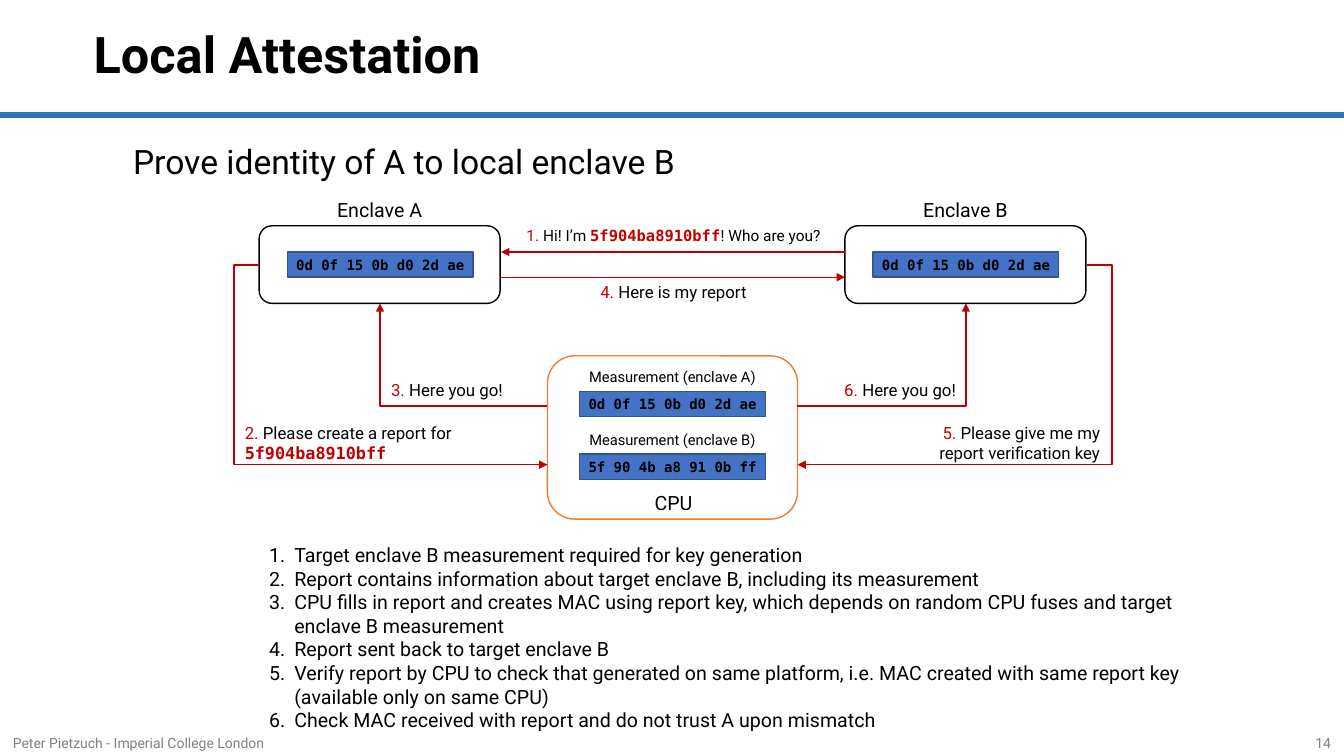
from lxml import etree
from pptx import Presentation
from pptx.dml.color import RGBColor
from pptx.enum.shapes import MSO_CONNECTOR as Link, MSO_SHAPE as Shape
from pptx.enum.text import MSO_ANCHOR as Anchor, PP_ALIGN as Align
from pptx.oxml.ns import qn
from pptx.util import Inches, Pt

BLACK, WHITE, RED, GREY = "000000", "FFFFFF", "C00000", "808080"
RULE, ORANGE, BLUE, NAVY = "2E75B6", "ED7D31", "4472C4", "325491"
SANS, MONO = "Roboto", "DejaVu Sans Mono"
HASH = "5f904ba8910bff"
MEASUREMENT_A, MEASUREMENT_B = "0d 0f 15 0b d0 2d ae", "5f 90 4b a8 91 0b ff"


def color(value):
    return RGBColor.from_string(value)


class Diagram:
    def __init__(self, page):
        self.page = page

    def style(self, font, size, shade=BLACK, face=SANS, bold=False):
        font.size, font.name, font.bold = Pt(size), face, bold
        font.color.rgb = color(shade)

    def text(self, left, top, width, height, content, size, align=Align.LEFT,
             anchor=Anchor.TOP, shade=BLACK, bold=False, spacing=1.0, indent=0.1):
        box = self.page.shapes.add_textbox(*map(Inches, (left, top, width, height)))
        frame = box.text_frame
        frame.word_wrap, frame.vertical_anchor = True, anchor
        frame.margin_left = Inches(indent)
        para = frame.paragraphs[0]
        para.text, para.alignment, para.line_spacing = content, align, spacing
        self.style(para.font, size, shade, bold=bold)
        return frame

    def message(self, left, top, width, height, number, words, size=12, align=Align.LEFT):
        """Numbered protocol step; any enclave hash in the words is highlighted."""
        para = self.text(left, top, width, height, "", size, align).paragraphs[0]
        before, found, after = words.partition(HASH)
        spans = ((f"{number}.", RED, SANS), (f" {before}", BLACK, SANS),
                 (found, RED, MONO), (after, BLACK, SANS))
        for content, shade, face in spans:
            if content:
                span = para.add_run()
                span.text = content
                self.style(span.font, size, shade, face, face == MONO)

    def numbered_list(self, left, top, width, height, items, size):
        frame = self.text(left, top, width, height, items[0], size)
        for item in items[1:]:
            frame.add_paragraph().text = item
        for para in frame.paragraphs:
            properties = para._p.get_or_add_pPr()
            properties.set("marL", str(Inches(0.25)))
            properties.set("indent", str(Inches(-0.25)))
            etree.SubElement(properties, qn("a:buFont"), typeface="+mj-lt")
            etree.SubElement(properties, qn("a:buAutoNum"), type="arabicPeriod")
            self.style(para.font, size)

    def panel(self, kind, left, top, width, height, fill, line):
        box = self.page.shapes.add_shape(kind, *map(Inches, (left, top, width, height)))
        box.shadow.inherit = False
        box.fill.solid()
        box.fill.fore_color.rgb = color(fill)
        box.line.color.rgb, box.line.width = color(line), Pt(1)
        return box

    def measurement(self, left, top, value):
        frame = self.panel(Shape.RECTANGLE, left, top, 1.84, 0.25, BLUE, NAVY).text_frame
        frame.margin_left = frame.margin_right = 0
        frame.word_wrap, frame.vertical_anchor = True, Anchor.MIDDLE
        para = frame.paragraphs[0]
        para.text, para.alignment = value, Align.CENTER
        self.style(para.font, 10, BLACK, MONO, True)

    def line(self, start, end, shade=RED, width=1, kind=Link.STRAIGHT):
        link = self.page.shapes.add_connector(kind, *map(Inches, (*start, *end)))
        link.line.color.rgb, link.line.width = color(shade), Pt(width)
        etree.SubElement(link._element.spPr, qn("a:effectLst"))
        return link

    def arrow(self, start, end, kind=Link.STRAIGHT):
        link = self.line(start, end, kind=kind)
        etree.SubElement(link.line._get_or_add_ln(), qn("a:tailEnd"), type="triangle")
        return link

    def elbow(self, start, end, preset, bend=None):
        """Bent arrow; bend is the turning point as a share of the width."""
        geometry = self.arrow(start, end, Link.ELBOW)._element.spPr.find(qn("a:prstGeom"))
        geometry.set("prst", preset)
        if bend is not None:
            guides = geometry.find(qn("a:avLst"))
            etree.SubElement(guides, qn("a:gd"), name="adj1",
                             fmla=f"val {round(bend * 100000)}")


def main():
    deck = Presentation()
    deck.slide_width, deck.slide_height = Inches(13.33), Inches(7.5)
    diagram = Diagram(deck.slides.add_slide(deck.slide_layouts[6]))

    diagram.line((0, 1.14), (13.33, 1.14), RULE, 4.5)
    diagram.text(0, 0, 13.33, 1.14, "Local Attestation", 36, anchor=Anchor.MIDDLE,
                 bold=True, spacing=0.9, indent=0.93)
    diagram.text(0.92, 1.39, 11.5, 0.5, "Prove identity of A to local enclave B", 24,
                 spacing=0.9, indent=0.4)

    diagram.panel(Shape.ROUNDED_RECTANGLE, 5.43, 3.53, 2.48, 1.62, WHITE, ORANGE)
    diagram.text(4.97, 4.83, 3.42, 0.32, "CPU", 14, Align.CENTER, Anchor.MIDDLE)
    for name, top, value in (("A", 3.6, MEASUREMENT_A), ("B", 4.22, MEASUREMENT_B)):
        frame = diagram.text(5.75, top, 1.84, 0.28, f"Measurement (enclave {name})", 10.5,
                             Align.CENTER, indent=0)
        frame.margin_right = 0
        diagram.measurement(5.75, top + 0.285, value)

    for name, left in (("A", 2.57), ("B", 8.38)):
        diagram.text(left, 1.92, 2.39, 0.32, f"Enclave {name}", 14,
                     Align.CENTER, Anchor.MIDDLE)
        diagram.panel(Shape.ROUNDED_RECTANGLE, left, 2.24, 2.39, 0.77, WHITE, BLACK)
        diagram.measurement(left + 0.28, 2.5, MEASUREMENT_A)

    diagram.arrow((8.38, 2.5), (4.97, 2.5))
    diagram.arrow((4.97, 2.75), (8.38, 2.75))
    for outer, cpu_side, enclave_middle in ((2.57, 5.43, 3.77), (10.78, 7.91, 9.58)):
        diagram.elbow((outer, 2.63), (cpu_side, 4.61), "bentConnector3", -0.087)
        diagram.elbow((cpu_side, 4.03), (enclave_middle, 3.01), "bentConnector2")

    diagram.message(4.97, 2.19, 3.42, 0.29, 1, f"Hi! I’m {HASH}! Who are you?", 11,
                    Align.CENTER)
    diagram.message(2.33, 4.14, 2.54, 0.5, 2, f"Please create a report for {HASH}")
    diagram.message(3.78, 3.72, 1.65, 0.3, 3, "Here you go!")
    diagram.message(4.97, 2.75, 3.42, 0.3, 4, "Here is my report", align=Align.CENTER)
    diagram.message(8.77, 4.14, 2.24, 0.5, 5, "Please give me my report verification key",
                    align=Align.RIGHT)
    diagram.message(7.93, 3.72, 1.65, 0.3, 6, "Here you go!", align=Align.RIGHT)

    diagram.numbered_list(2.57, 5.34, 9.59, 1.73, (
        "Target enclave B measurement required for key generation",
        "Report contains information about target enclave B, including its measurement",
        "CPU fills in report and creates MAC using report key, which depends on random "
        "CPU fuses and target enclave B measurement",
        "Report sent back to target enclave B",
        "Verify report by CPU to check that generated on same platform, i.e. MAC created "
        "with same report key (available only on same CPU)",
        "Check MAC received with report and do not trust A upon mismatch",
    ), 14)
    diagram.text(0.03, 7.24, 8, 0.28, "Peter Pietzuch - Imperial College London", 10,
                 shade=GREY)
    diagram.text(10.3, 7.24, 3, 0.26, "14", 10, Align.RIGHT, shade=GREY)
    deck.save("out.pptx")


if __name__ == "__main__":
    main()
